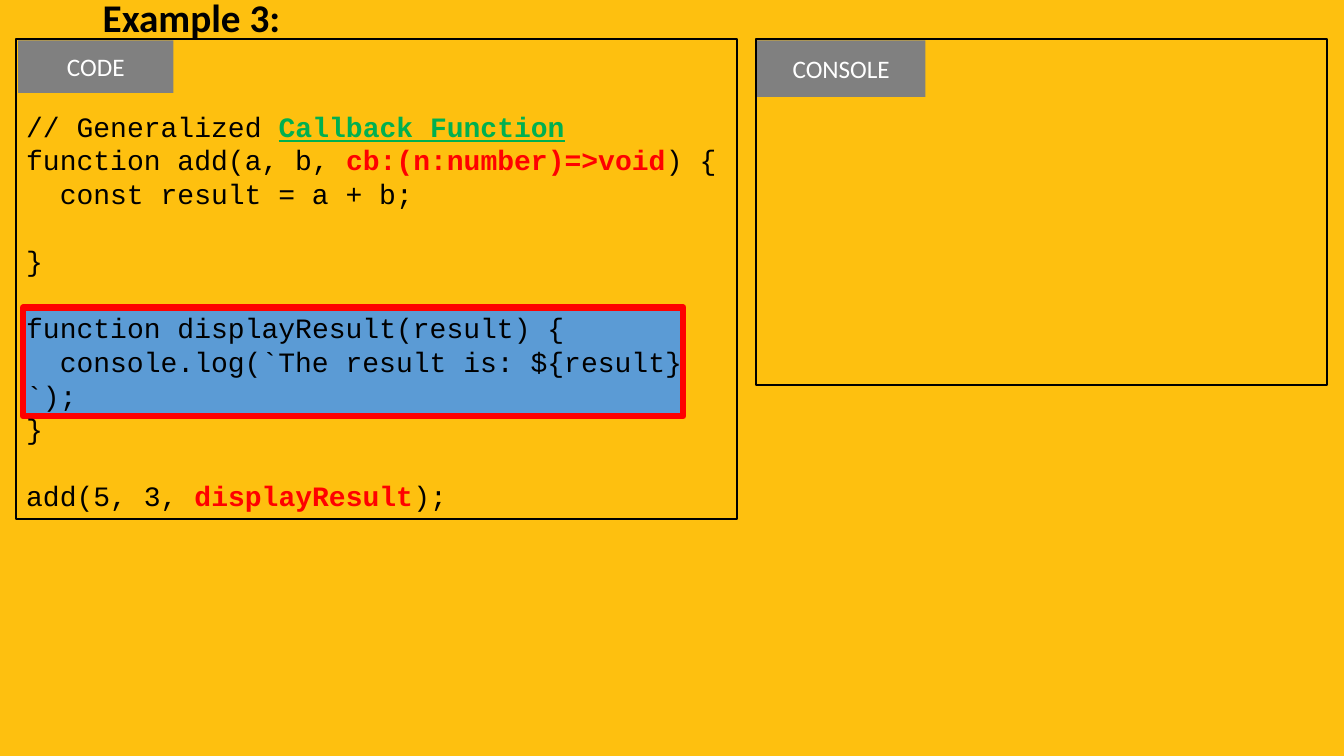
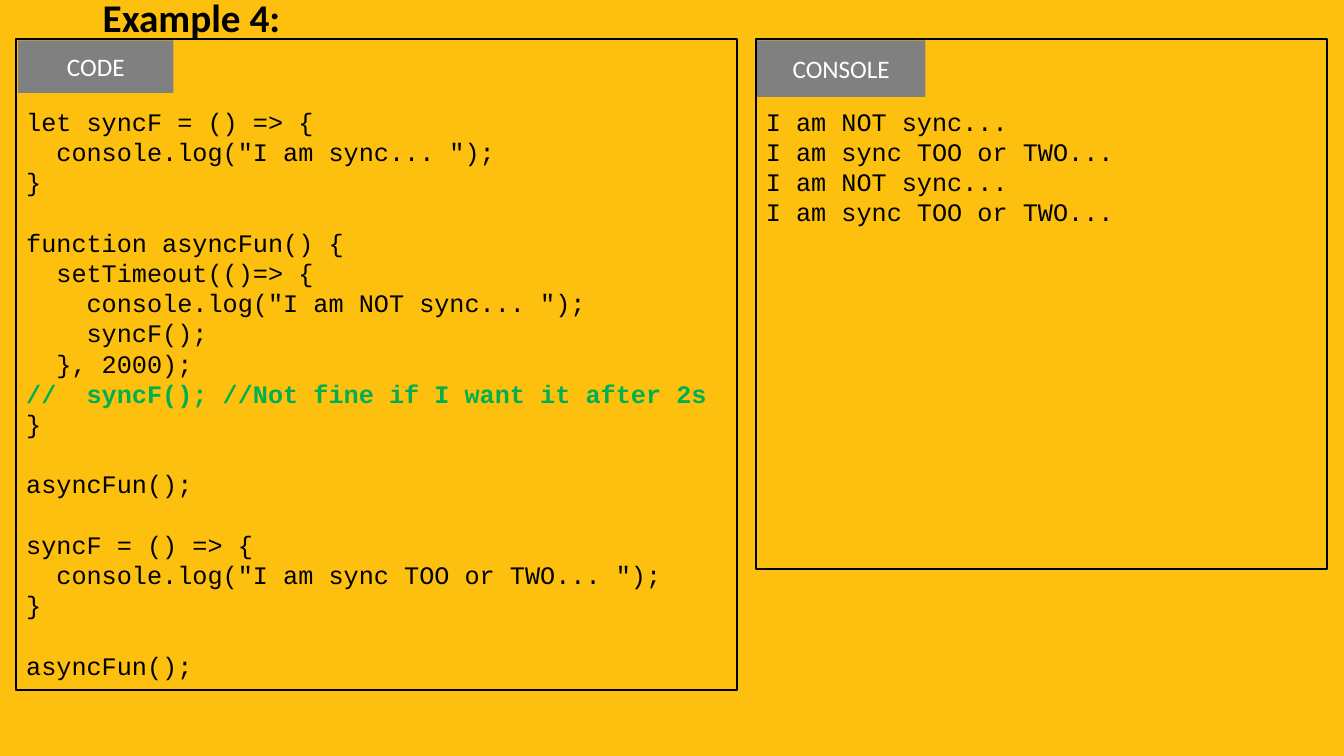
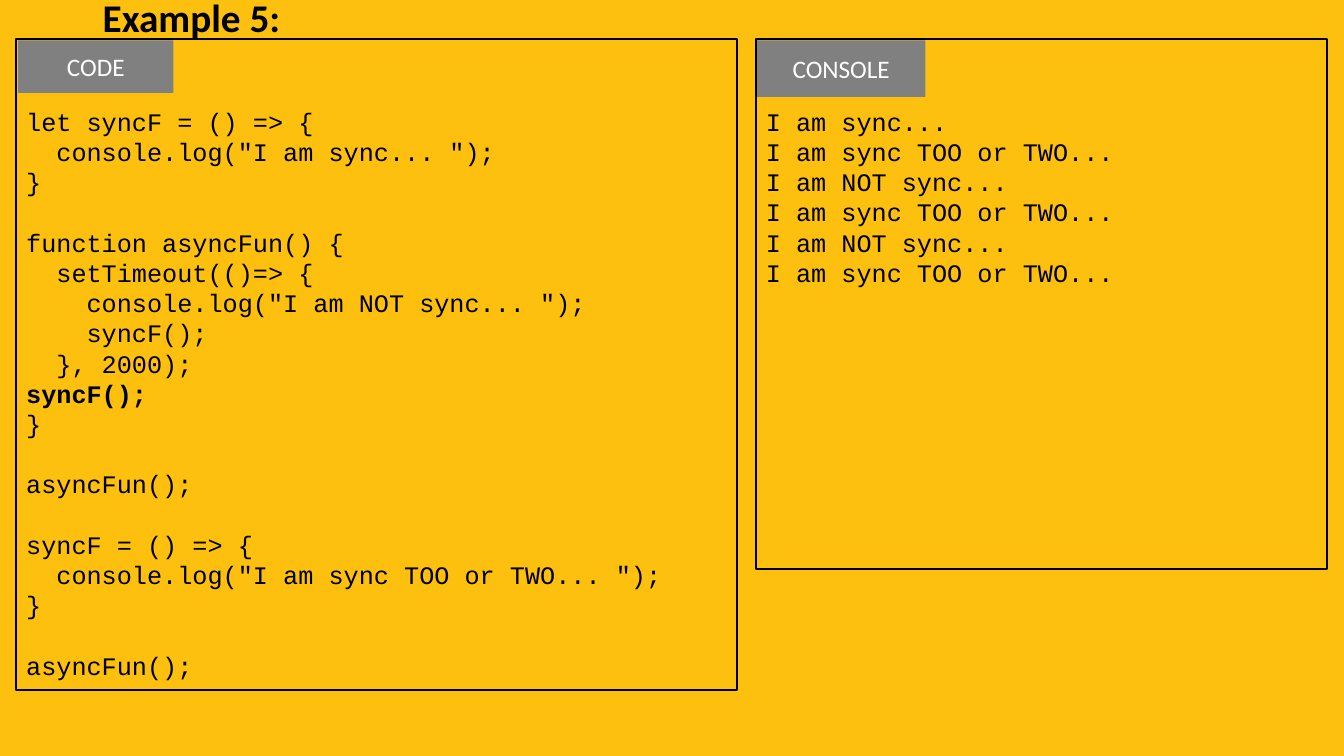
from dataclasses import dataclass

from pptx import Presentation
from pptx import util as u
from pptx.dml.color import RGBColor
from pptx.enum import shapes, text

# Shared style
AMBER = RGBColor(0xFE, 0xC0, 0x0F)
BLACK = RGBColor(0x00, 0x00, 0x00)
WHITE = RGBColor(0xFF, 0xFF, 0xFF)
GRAY = RGBColor(0x80, 0x80, 0x80)
RED = RGBColor(0xFF, 0x00, 0x00)
GREEN = RGBColor(0x00, 0xB0, 0x50)
BLUE = RGBColor(0x5B, 0x9B, 0xD5)
HEADING_FONT = "Calibri"
CODE_FONT = "Courier New"
CHAR_WIDTH = 0.6   # of the code font size
LINE_HEIGHT = 1.2  # of the code font size
PANEL_TOP = 0.99


@dataclass
class Mark:
    """A bold, coloured piece of a code line."""
    text: str
    color: RGBColor = BLACK
    underline: bool = False


# Content: a line is a string, a Mark or a list of both; "" leaves a gap
GENERAL_CALLBACK = [
    ["// Generalized ", Mark("Callback Function", GREEN, True)],
    ["function add(a, b, ", Mark("cb:(n:number)=>void", RED), ") {"],
    "  const result = a + b;",
    "",
    "}",
    "",
    "function displayResult(result) {",
    "  console.log(`The result is: ${result}`);",
    "}",
    "",
    ["add(5, 3, ", Mark("displayResult", RED), ");"],
]
NOT_SYNC = "I am NOT sync..."
SYNC_TOO = "I am sync TOO or TWO..."


def sync_code(last_call):
    """The async listing, with the given line closing asyncFun."""
    return [
        "let syncF = () => {",
        '  console.log("I am sync... ");',
        "}",
        "",
        "function asyncFun() {",
        "  setTimeout(()=> {",
        '    console.log("I am NOT sync... ");',
        "    syncF();",
        "  }, 2000);",
        last_call,
        "}",
        "",
        "asyncFun();",
        "",
        "syncF = () => {",
        '  console.log("I am sync TOO or TWO... ");',
        "}",
        "",
        "asyncFun();",
    ]


def set_font(paragraph, name, size, color, bold=False):
    font = paragraph.font
    font.name, font.size, font.bold = name, u.Pt(size), bold
    font.color.rgb = color


def add_box(page, left, top, width, height, fill=None, line=None, weight=1.5):
    box = page.shapes.add_shape(shapes.MSO_SHAPE.RECTANGLE, u.Cm(left),
                                u.Cm(top), u.Cm(width), u.Cm(height))
    box.shadow.inherit = False
    if fill is None:
        box.fill.background()
    else:
        box.fill.solid()
        box.fill.fore_color.rgb = fill
    if line is None:
        box.line.fill.background()
    else:
        box.line.color.rgb = line
        box.line.width = u.Pt(weight)
    return box


def add_title(page, title):
    box = page.shapes.add_textbox(u.Cm(2.34), u.Cm(0.08), u.Cm(29.21), u.Cm(0.86))
    frame = box.text_frame
    frame.word_wrap = True
    frame.vertical_anchor = text.MSO_ANCHOR.MIDDLE
    para = frame.paragraphs[0]
    para.text = title
    para.line_spacing = 0.9
    set_font(para, HEADING_FONT, 28, BLACK, bold=True)


def add_tag(page, label, left, width, height):
    box = add_box(page, left, 1.02, width, height, fill=GRAY)
    box.text_frame.vertical_anchor = text.MSO_ANCHOR.MIDDLE
    para = box.text_frame.paragraphs[0]
    para.text = label
    para.alignment = text.PP_ALIGN.CENTER
    set_font(para, HEADING_FONT, 18, WHITE)


def write_line(para, line, size):
    pieces = line if isinstance(line, list) else [line]
    set_font(para, CODE_FONT, size, BLACK)
    para.alignment = text.PP_ALIGN.LEFT
    para.line_spacing = u.Pt(size * LINE_HEIGHT)
    # Leading blanks become a first-line indent
    if isinstance(pieces[0], str):
        code = pieces[0].lstrip()
        depth = len(pieces[0]) - len(code)
        pieces = [code] + pieces[1:]
        if depth:
            properties = para._p.get_or_add_pPr()
            properties.set("marL", "0")
            properties.set("indent", str(u.Pt(depth * size * CHAR_WIDTH)))
    for piece in pieces:
        span = para.add_run()
        if isinstance(piece, Mark):
            span.text = piece.text
            span.font.bold = True
            span.font.underline = piece.underline
            span.font.color.rgb = piece.color
        else:
            span.text = piece


def add_listing(box, lines, size, inset):
    frame = box.text_frame
    frame.word_wrap = True
    frame.vertical_anchor = text.MSO_ANCHOR.TOP
    frame.margin_top = u.Cm(inset)
    para, gap = frame.paragraphs[0], 0
    for number, line in enumerate(lines):
        if line == "":
            gap += size * LINE_HEIGHT
            continue
        if number:
            para = frame.add_paragraph()
        write_line(para, line, size)
        para.space_before = u.Pt(gap)
        gap = 0


def add_example(deck, number, code, output, code_height, console_height,
                size=18, inset=1.68, highlight=None):
    page = deck.slides.add_slide(deck.slide_layouts[6])
    if highlight:
        add_box(page, *highlight, fill=BLUE, line=RED, weight=4.5)
    # Code panel
    panel = add_box(page, 0.41, PANEL_TOP, 18.16, code_height, line=BLACK)
    add_listing(panel, code, size, inset)
    add_tag(page, "CODE", 0.46, 3.91, 1.32)
    # Console panel
    add_tag(page, "CONSOLE", 19.08, 4.24, 1.42)
    panel = add_box(page, 19.05, PANEL_TOP, 14.4, console_height, line=BLACK)
    add_listing(panel, output, size, inset)
    add_title(page, f"Example {number}:")


def main():
    deck = Presentation()
    deck.slide_width, deck.slide_height = u.Cm(33.87), u.Cm(19.05)
    background = deck.slide_master.background.fill
    background.solid()
    background.fore_color.rgb = AMBER

    add_example(deck, 3, GENERAL_CALLBACK, [], 12.09, 8.71, size=20,
                inset=1.76, highlight=(0.58, 7.75, 16.64, 2.74))
    late_call = Mark("// \u00a0syncF(); //Not fine if I want it after 2s", GREEN)
    add_example(deck, 4, sync_code(late_call), [NOT_SYNC, SYNC_TOO] * 2,
                16.41, 13.34)
    add_example(deck, 5, sync_code(Mark("syncF();")),
                ["I am sync...", SYNC_TOO] + [NOT_SYNC, SYNC_TOO] * 2,
                16.41, 13.34)
    deck.save("out.pptx")


main()
